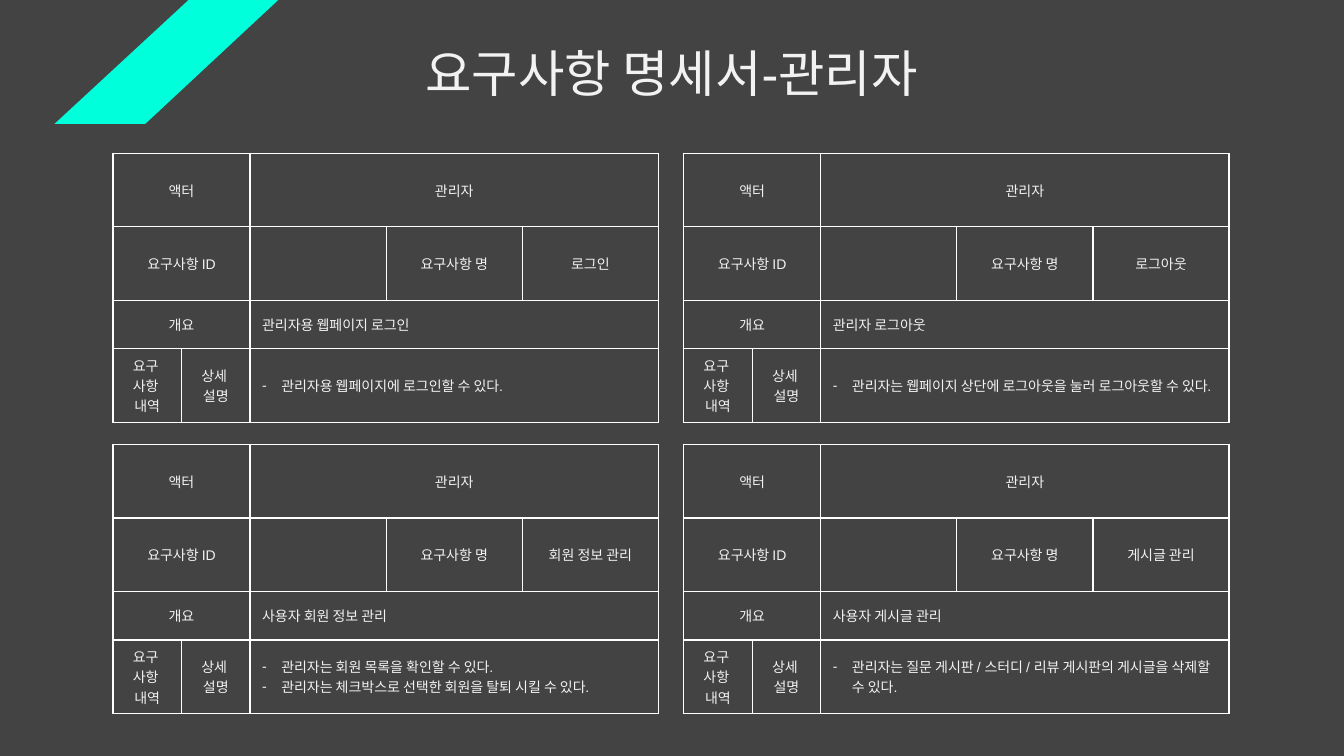
from itertools import product

from lxml.etree import SubElement
from pptx import Presentation
from pptx.dml.color import RGBColor
from pptx.enum.text import MSO_ANCHOR as ANCHOR, MSO_AUTO_SIZE as AUTO, PP_ALIGN as ALIGN
from pptx.oxml import parse_xml
from pptx.oxml.ns import nsdecls, qn
from pptx.util import Inches, Pt

# Content
TITLE = "요구사항 명세서-관리자"
ACTOR = "관리자"
REQUIREMENTS = [  # name, overview, details
    ("로그인", "관리자용 웹페이지 로그인", ["관리자용 웹페이지에 로그인할 수 있다."]),
    ("로그아웃", "관리자 로그아웃",
     ["관리자는 웹페이지 상단에 로그아웃을 눌러 로그아웃할 수 있다."]),
    ("회원 정보 관리", "사용자 회원 정보 관리",
     ["관리자는 회원 목록을 확인할 수 있다.",
      "관리자는 체크박스로 선택한 회원을 탈퇴 시킬 수 있다."]),
    ("게시글 관리", "사용자 게시글 관리",
     ["관리자는 질문 게시판 / 스터디 / 리뷰 게시판의 게시글을 삭제할 수 있다."]),
]

# Layout and colours
LEFTS, TOPS = (1.12, 6.78), (1.52, 4.41)
COLS = (0.68, 0.68, 1.35, 1.35, 1.35)
ROWS = (0.73, 0.73, 0.48, 0.73)
MERGES = [((0, 0), (0, 1)), ((0, 2), (0, 4)), ((1, 0), (1, 1)),
          ((2, 0), (2, 1)), ((2, 2), (2, 4)), ((3, 2), (3, 4))]
STRIPE = [(2.76, 0), (1.87, 0), (0.54, 1.23), (1.44, 1.23)]
DARK, LIGHT, WHITE, MINT = "434343", "F2F2F2", "FFFFFF", "00FFDB"
CELL_FORMAT = {"vertical_anchor": ANCHOR.MIDDLE,
               "margin_left": Inches(0.12), "margin_right": Inches(0.12),
               "margin_top": Inches(0.05), "margin_bottom": Inches(0.05)}


def paint(fill, color):
    fill.solid()
    fill.fore_color.rgb = RGBColor.from_string(color)


def write(tf, lines, size, align=ALIGN.CENTER):
    for i, line in enumerate(lines):
        p = tf.paragraphs[0] if i == 0 else tf.add_paragraph()
        p.alignment = align
        r = p.add_run()
        r.text = line
        for name, value in {"name": "Arial", "size": Pt(size)}.items():
            setattr(r.font, name, value)
        r.font.color.rgb = RGBColor.from_string(LIGHT)


def add_dash(p):
    pPr = p._p.get_or_add_pPr()
    pPr.set("marL", str(Inches(0.19)))
    pPr.set("indent", str(Inches(-0.19)))
    color = SubElement(pPr, qn("a:buClr"))
    SubElement(color, qn("a:srgbClr")).set("val", LIGHT)
    SubElement(pPr, qn("a:buFont")).set("typeface", "Arial")
    SubElement(pPr, qn("a:buChar")).set("char", "-")


def add_borders(cell):
    tcPr = cell._tc.get_or_add_tcPr()
    for i, side in enumerate("LRTB"):
        tcPr.insert(i, parse_xml(
            f'<a:ln{side} {nsdecls("a")} w="{Pt(1)}"><a:solidFill>'
            f'<a:srgbClr val="{WHITE}"/></a:solidFill></a:ln{side}>'))


def add_requirement(s, left, top, name, overview, details):
    frame = s.shapes.add_table(len(ROWS), len(COLS), Inches(left), Inches(top),
                               Inches(sum(COLS)), Inches(sum(ROWS)))
    table = frame.table
    table.first_row = table.horz_banding = False
    for col, width in zip(table.columns, COLS):
        col.width = Inches(width)
    for row, height in zip(table.rows, ROWS):
        row.height = Inches(height)

    for cell in table.iter_cells():
        paint(cell.fill, DARK)
        add_borders(cell)
        for key, value in CELL_FORMAT.items():
            setattr(cell, key, value)
    for first, last in MERGES:
        table.cell(*first).merge(table.cell(*last))

    centred = {(0, 0): ["액터"], (0, 2): [ACTOR],
               (1, 0): ["요구사항 ID"], (1, 3): ["요구사항 명"], (1, 4): [name],
               (2, 0): ["개요"],
               (3, 0): ["요구 ", "사항 ", "내역"], (3, 1): ["상세 ", "설명"]}
    for place, lines in centred.items():
        write(table.cell(*place).text_frame, lines, 10)
    write(table.cell(2, 2).text_frame, [overview], 10, ALIGN.LEFT)
    tf = table.cell(3, 2).text_frame
    write(tf, details, 10, ALIGN.LEFT)
    for p in tf.paragraphs:
        add_dash(p)


def main():
    prs = Presentation()
    prs.slide_width, prs.slide_height = Inches(13.33), Inches(7.5)
    s = prs.slides.add_slide(prs.slide_layouts[6])
    paint(s.background.fill, DARK)

    # Title
    box = s.shapes.add_textbox(*map(Inches, (1.15, 0.37, 11.02, 0.71)))
    tf = box.text_frame
    tf.word_wrap = True
    tf.auto_size = AUTO.SHAPE_TO_FIT_TEXT
    write(tf, [TITLE], 36)

    # Corner stripe
    points = [(Inches(x), Inches(y)) for x, y in STRIPE]
    builder = s.shapes.build_freeform(*points[0])
    builder.add_line_segments(points[1:], close=True)
    sp = builder.convert_to_shape()
    sp.shadow.inherit = False
    paint(sp.fill, MINT)
    sp.line.fill.background()

    # Requirement tables, two by two
    for (top, left), requirement in zip(product(TOPS, LEFTS), REQUIREMENTS):
        add_requirement(s, left, top, *requirement)

    prs.save("out.pptx")


if __name__ == "__main__":
    main()
